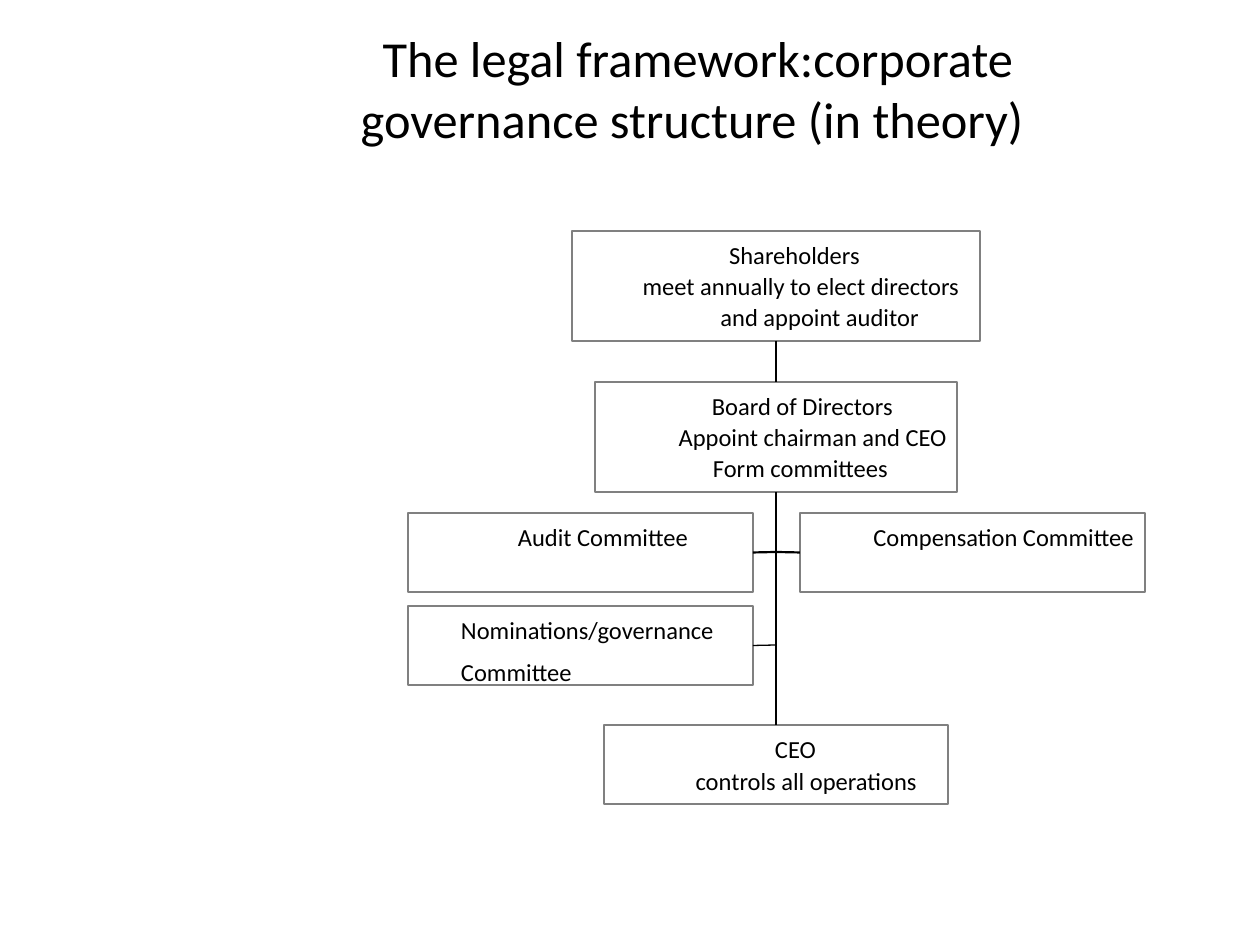
import pptx
import pptx.dml.color
import pptx.enum.shapes
import pptx.enum.text
import pptx.oxml
import pptx.oxml.ns
import pptx.util

RGBColor = pptx.dml.color.RGBColor
ALIGN = pptx.enum.text.PP_ALIGN
BLACK = RGBColor(0, 0, 0)
GRAY = RGBColor(128, 128, 128)
WHITE = RGBColor(255, 255, 255)
SCALE = pptx.util.Inches(1) / 126
TOP, LEFT, BOTTOM, RIGHT = range(4)


def px(*lengths):
    return [round(n * SCALE) for n in lengths]


def write(tf, text, size=14, align=ALIGN.LEFT, gap=0, font="Calibri", color=BLACK):
    for i, line in enumerate(text.split("\n")):
        p = tf.add_paragraph() if i else tf.paragraphs[0]
        p.alignment = align
        p.space_before = pptx.util.Pt(gap if i else 0)
        r = p.add_run()
        r.text = line
        r.font.name = font
        r.font.size = pptx.util.Pt(size)
        r.font.color.rgb = color


class Chart:
    line_width = pptx.util.Pt(1.25)

    def __init__(self, s):
        self.s = s

    def title(self, text, *at):
        sp = self.s.shapes.title
        sp.left, sp.top, sp.width, sp.height = px(*at)
        tf = sp.text_frame
        tf.word_wrap = True
        tf.auto_size = pptx.enum.text.MSO_AUTO_SIZE.NONE
        tf.vertical_anchor = pptx.enum.text.MSO_ANCHOR.TOP
        write(tf, text, size=28.8, align=ALIGN.CENTER)

    def box(self, *at):
        sp = self.s.shapes.add_shape(
            pptx.enum.shapes.MSO_SHAPE.RECTANGLE, *px(*at))
        sp.shadow.inherit = False
        sp.fill.solid()
        sp.fill.fore_color.rgb = WHITE
        sp.line.color.rgb = GRAY
        sp.line.width = self.line_width
        return sp

    def label(self, text, x, y, w, h=29, align=ALIGN.RIGHT, gap=0):
        tf = self.s.shapes.add_textbox(*px(x, y, w, h)).text_frame
        tf.margin_left = tf.margin_top = tf.margin_right = tf.margin_bottom = 0
        tf.word_wrap = False
        tf.auto_size = pptx.enum.text.MSO_AUTO_SIZE.SHAPE_TO_FIT_TEXT
        write(tf, text, align=align, gap=gap)

    def link(self, begin, side, end=None, end_side=TOP, to=(0, 0), width=line_width):
        c = self.s.shapes.add_connector(
            pptx.enum.shapes.MSO_CONNECTOR.STRAIGHT, 0, 0, *px(*to))
        c.begin_connect(begin, side)
        if end is not None:
            c.end_connect(end, end_side)
        c.line.color.rgb = BLACK
        c.line.width = width
        spPr = c._element.spPr
        spPr.append(pptx.oxml.parse_xml(
            "<a:effectLst %s/>" % pptx.oxml.ns.nsdecls("a")))


def main():
    prs = pptx.Presentation()
    prs.slide_width, prs.slide_height = px(1260, 945)
    chart = Chart(prs.slides.add_slide(prs.slide_layouts[5]))

    chart.title("The legal framework:corporate governance structure (in theory) ",
                252, 21, 892, 116)

    shareholders = chart.box(572, 231, 408, 110)
    board = chart.box(595, 382, 362, 110)
    audit = chart.box(408, 513, 345, 79)
    compensation = chart.box(800, 513, 345, 79)
    nominations = chart.box(408, 606, 345, 79)
    ceo = chart.box(604, 725, 344, 79)

    chart.link(shareholders, BOTTOM, board)
    chart.link(board, BOTTOM, ceo)
    chart.link(audit, RIGHT, to=(776, 552))
    chart.link(compensation, LEFT, to=(776, 552))
    chart.link(nominations, RIGHT, to=(776, 645), width=pptx.util.Pt(0.75))

    chart.label("Shareholders", 722, 240, 145, align=ALIGN.CENTER)
    chart.label("meet annually to elect directors", 632, 271, 338, align=ALIGN.CENTER)
    chart.label("and appoint auditor", 710, 302, 209)
    chart.label("Board of Directors", 696, 391, 197)
    chart.label("Appoint chairman and CEO", 650, 422, 297)
    chart.label("Form committees", 700, 453, 188)
    chart.label("Audit Committee", 508, 522, 180)
    chart.label("Compensation Committee", 852, 522, 282)
    chart.label("Nominations/governance\nCommittee", 461, 615, 270, 73,
                align=ALIGN.LEFT, gap=7)
    chart.label("CEO", 763, 734, 53)
    chart.label("controls all operations", 679, 766, 238)

    prs.save("out.pptx")


if __name__ == "__main__":
    main()
